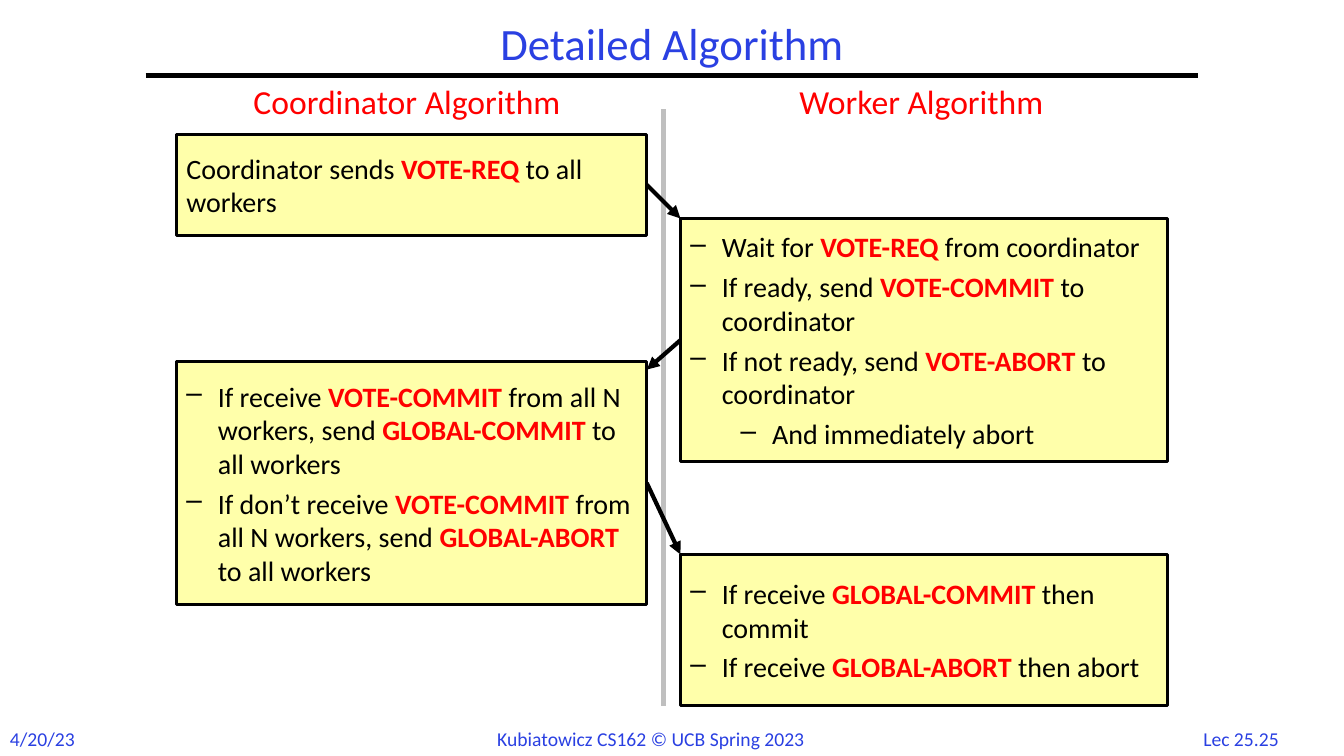
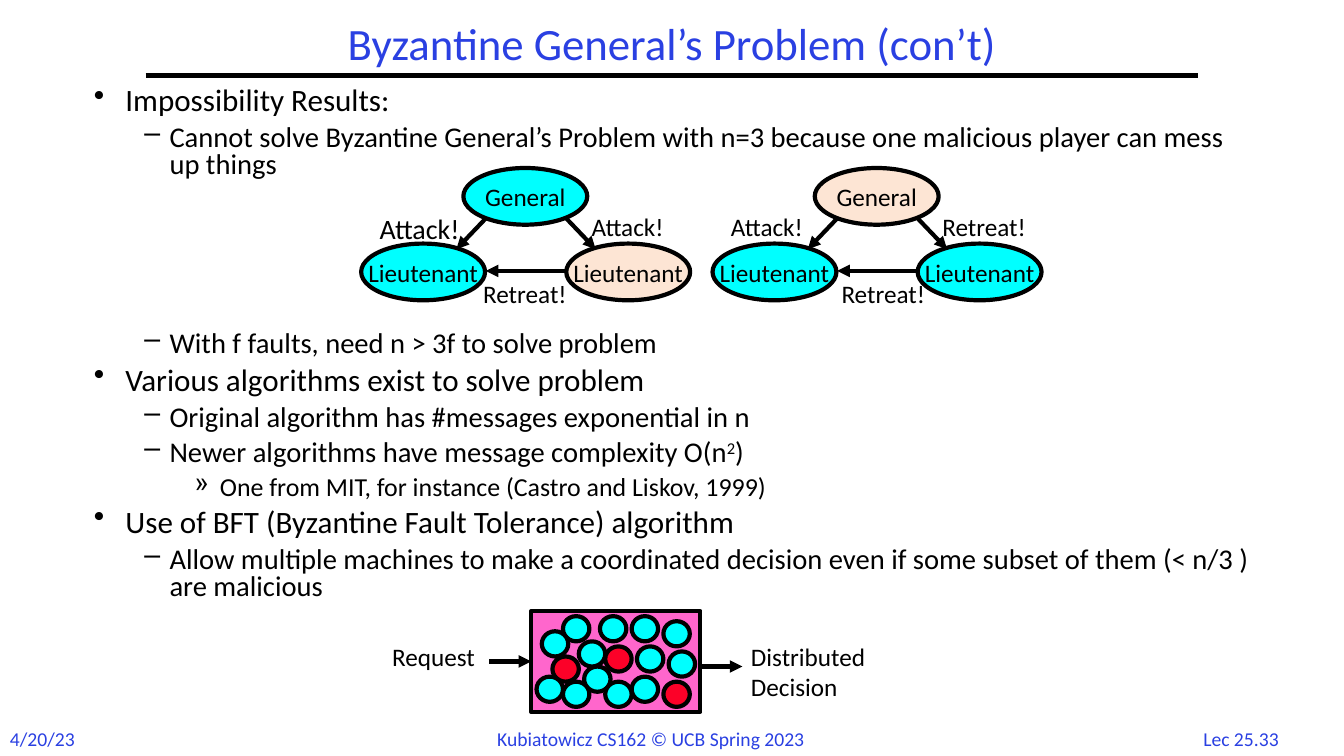
from lxml import etree
from pptx import Presentation
from pptx.dml.color import RGBColor
from pptx.enum.shapes import MSO_CONNECTOR, MSO_SHAPE
from pptx.enum.text import MSO_ANCHOR, PP_ALIGN
from pptx.oxml.ns import qn
from pptx.util import Pt

RECT, OVAL = MSO_SHAPE.RECTANGLE, MSO_SHAPE.OVAL
STRAIGHT = MSO_CONNECTOR.STRAIGHT
TOP, MIDDLE = MSO_ANCHOR.TOP, MSO_ANCHOR.MIDDLE
LEFT, CENTER = PP_ALIGN.LEFT, PP_ALIGN.CENTER

FONT = "Calibri"
COLORS = {
    "blue": "2A40E2", "red": "FF0000", "black": "000000", "gray": "BFBFBF",
    "yellow": "FFFFAA", "cyan": "00FFFF", "peach": "FCC094",
    "pink": "FF66CC", "crimson": "FC0128",
}


def rgb(name):
    return RGBColor.from_string(COLORS[name])


# --- Text ---
def make_bold_red(r):
    r.font.bold = True
    r.font.color.rgb = rgb("red")


def make_superscript(r):
    r.font._element.set("baseline", "30000")


def add_runs(p, text, size, color="black", emphasis=make_bold_red):
    """Every second part between asterisks gets the emphasis."""
    for i, part in enumerate(text.split("*")):
        if part:
            r = p.add_run()
            r.text = part
            r.font.name, r.font.size = FONT, Pt(size)
            r.font.color.rgb = rgb(color)
            if i % 2:
                emphasis(r)


def set_bullet(p, char, margin, hang):
    pPr = p._p.get_or_add_pPr()
    pPr.set("marL", str(Pt(margin)))
    pPr.set("indent", str(-Pt(hang)))
    etree.SubElement(pPr, qn("a:buChar")).set("char", char)


def paragraphs(tf, count):
    return [tf.paragraphs[0]] + [tf.add_paragraph() for _ in range(count - 1)]


def add_text(slide, box, text, size, color="black", align=LEFT,
             anchor=TOP, wrap=False):
    tf = slide.shapes.add_textbox(*map(Pt, box)).text_frame
    tf.word_wrap, tf.vertical_anchor = wrap, anchor
    lines = text.split("\n")
    for p, line in zip(paragraphs(tf, len(lines)), lines):
        p.alignment = align
        add_runs(p, line, size, color)
    return tf


# --- Shapes and lines ---
def add_box(slide, kind, box, fill, width=3, alpha=None):
    s = slide.shapes.add_shape(kind, *map(Pt, box))
    s.shadow.inherit = False
    s.fill.solid()
    s.fill.fore_color.rgb = rgb(fill)
    if alpha:
        clr = s._element.spPr.find(".//" + qn("a:srgbClr"))
        etree.SubElement(clr, qn("a:alpha")).set("val", str(alpha * 1000))
    s.line.color.rgb, s.line.width = rgb("black"), Pt(width)
    s.text_frame.vertical_anchor = MIDDLE
    return s


def add_line(slide, start, end, color="black", arrow=True):
    s = slide.shapes.add_connector(STRAIGHT, *map(Pt, (*start, *end)))
    s.line.color.rgb, s.line.width = rgb(color), Pt(3)
    if arrow:
        ln = s.line._get_or_add_ln()
        etree.SubElement(ln, qn("a:tailEnd")).set("type", "triangle")
    etree.SubElement(s._element.spPr, qn("a:effectLst"))


# --- Shared title, rule and footer ---
def add_slide(prs, title, number):
    slide = prs.slides.add_slide(prs.slide_layouts[6])
    add_line(slide, (104, 54), (856, 54), arrow=False)
    footers = [((0, 515.5, 61, 24), "4/20/23", LEFT),
               ((348, 515.5, 265, 24), "Kubiatowicz CS162 © UCB Spring 2023", LEFT),
               ((847.5, 515.5, 78, 24), f"Lec {number}", CENTER)]
    for box, text, align in footers:
        add_text(slide, box, text, 14, "blue", align)
    tf = add_text(slide, (104, 12, 752, 42), title, 32, "blue", CENTER, MIDDLE, True)
    tf.paragraphs[0].line_spacing = 0.9
    return slide


# --- Slide 1: two columns of steps ---
LEFT_COL, RIGHT_COL = (126, 336), (486, 348)  # left, width
STEPS = [  # column, top, height, lines as (level, text); level None has no bullet
    (LEFT_COL, 96, 72, [(None, "Coordinator sends *VOTE-REQ *to all workers")]),
    (RIGHT_COL, 156, 174, [
        (0, "Wait for *VOTE-REQ *from coordinator"),
        (0, "If ready, send *VOTE-COMMIT *to coordinator"),
        (0, "If not ready, send *VOTE-ABORT *to coordinator"),
        (1, "And immediately abort")]),
    (LEFT_COL, 258, 174, [
        (0, "If receive *VOTE-COMMIT *from all N workers, send *GLOBAL-COMMIT* to all workers"),
        (0, "If don’t receive *VOTE-COMMIT *from all N workers, send *GLOBAL-ABORT *to all workers")]),
    (RIGHT_COL, 396, 108, [
        (0, "If receive *GLOBAL-COMMIT *then commit"),
        (0, "If receive *GLOBAL-ABORT *then abort")]),
]


def add_step(slide, box, lines):
    tf = add_box(slide, RECT, box, "yellow", 2).text_frame
    tf.word_wrap = True
    for p, (level, text) in zip(paragraphs(tf, len(lines)), lines):
        p.alignment = LEFT
        if level is not None:
            p.space_before = Pt(4.5)
            set_bullet(p, "–", 22.5 + 36 * level, 22.5)
        add_runs(p, text, 20)


def build_algorithm(prs):
    slide = add_slide(prs, "Detailed Algorithm", "25.25")
    add_line(slide, (474, 78), (474, 504), "gray", arrow=False)
    for (left, width), top, height, lines in STEPS:
        add_step(slide, (left, top, width, height), lines)
    add_text(slide, (174, 54, 249, 36), "Coordinator Algorithm", 24, "red")
    add_text(slide, (564, 54, 200, 36), "Worker Algorithm", 24, "red")
    # Each arrow runs from the middle of one step to the top of the next
    inner = {LEFT_COL: sum(LEFT_COL), RIGHT_COL: RIGHT_COL[0]}
    for (col, top, height, _), (next_col, next_top, *_) in zip(STEPS, STEPS[1:]):
        drop = 6 if next_col == LEFT_COL else 0
        add_line(slide, (inner[col], top + height / 2),
                 (inner[next_col], next_top + drop))


# --- Slide 2: bullets with two diagrams ---
LEVELS = [("•", 22.5, 22.5, 22.2), ("–", 54, 18, 20.4), ("»", 90, 18, 18.5)]
GAP, DIAGRAM_GAP = 5.8, 108
POINTS = [  # level, space before, text
    (0, GAP, "Impossibility Results:"),
    (1, GAP, "Cannot solve Byzantine General’s Problem with n=3 because one malicious player can mess up things"),
    (1, DIAGRAM_GAP, "With f faults, need n > 3f to solve problem"),
    (0, GAP, "Various algorithms exist to solve problem"),
    (1, GAP, "Original algorithm has #messages exponential in n"),
    (1, GAP, "Newer algorithms have message complexity O(n*2*)"),
    (2, GAP, "One from MIT, for instance (Castro and Liskov, 1999)"),
    (0, GAP, "Use of BFT (Byzantine Fault Tolerance) algorithm"),
    (1, GAP, "Allow multiple machines to make a coordinated decision even if some subset of them (< n/3 ) are malicious"),
]
DOTS = [  # column, row, colour on the 32 by 20 grid of the machine box
    (20, 7, "cyan"), (25, 2, "cyan"), (9, 6, "cyan"), (10, 11, "cyan"),
    (13, 1, "cyan"), (26, 8, "cyan"), (19, 1, "cyan"), (19, 13, "cyan"),
    (6, 14, "cyan"), (4, 9, "crimson"), (14, 7, "crimson"), (6, 1, "cyan"),
    (2, 4, "cyan"), (25, 14, "crimson"), (14, 14, "cyan"), (1, 13, "cyan"),
]


def add_points(slide, box):
    tf = slide.shapes.add_textbox(*map(Pt, box)).text_frame
    tf.word_wrap = True
    for p, (level, gap, text) in zip(paragraphs(tf, len(POINTS)), POINTS):
        char, margin, hang, size = LEVELS[level]
        p.line_spacing, p.space_before = 0.8, Pt(gap)
        set_bullet(p, char, margin, hang)
        add_runs(p, text, size, emphasis=make_superscript)


def add_generals(slide, x, y, traitor, labels):
    """Labels are (text, left offset, top offset, width, size)."""
    players = [("General", 73, 0), ("Lieutenant", 146.5, 54), ("Lieutenant", 0, 54)]
    for i, (name, dx, dy) in enumerate(players):
        fill, alpha = ("peach", 40) if i == traitor else ("cyan", None)
        s = add_box(slide, OVAL, (x + dx, y + dy, 88.5, 40.5), fill, alpha=alpha)
        s.text_frame.word_wrap = False
        p = s.text_frame.paragraphs[0]
        p.alignment = CENTER
        add_runs(p, name, 18)
    for x1, y1, x2, y2 in [(146.5, 36, 167.5, 58), (89, 36, 68, 58),
                           (146.5, 73.5, 89, 73.5)]:
        add_line(slide, (x + x1, y + y1), (x + x2, y + y2))
    for text, dx, dy, width, size in labels:
        add_text(slide, (x + dx, y + dy, width, 29), text, size)


def add_machines(slide, x, y, width, height):
    col, row, reach = width / 32, height / 20, 30
    add_line(slide, (x - reach, y + 10 * row), (x, y + 10 * row))
    add_text(slide, (x - 106.5, y + 18, 82, 29), "Request", 18)
    add_text(slide, (x + width + 29, y + 18, 101.5, 50.5), "Distributed\nDecision", 18)
    add_line(slide, (x + width, y + 11 * row), (x + width + reach, y + 11 * row))
    add_box(slide, RECT, (x, y, width, height), "pink")
    for i, j, fill in DOTS:
        add_box(slide, OVAL, (x + i * col, y + j * row, 5 * col, 5 * row), fill)


def build_generals(prs):
    slide = add_slide(prs, "Byzantine General’s Problem (con’t)", "25.33")
    add_points(slide, (60, 59, 840, 414))
    add_generals(slide, 258, 120, 1, [("Attack!", 6, 27.5, 76, 20),
                                      ("Attack!", 157.5, 27.5, 70, 18),
                                      ("Retreat!", 80, 75, 79, 18)])
    add_generals(slide, 509, 120, 0, [("Attack!", 6, 27.5, 70, 18),
                                      ("Retreat!", 157, 27.5, 79, 18),
                                      ("Retreat!", 85, 75, 79, 18)])
    add_machines(slide, 379.5, 436.5, 120.8, 72)


def main():
    prs = Presentation()
    prs.slide_width, prs.slide_height = Pt(960), Pt(540)
    build_algorithm(prs)
    build_generals(prs)
    prs.save("out.pptx")


if __name__ == "__main__":
    main()
